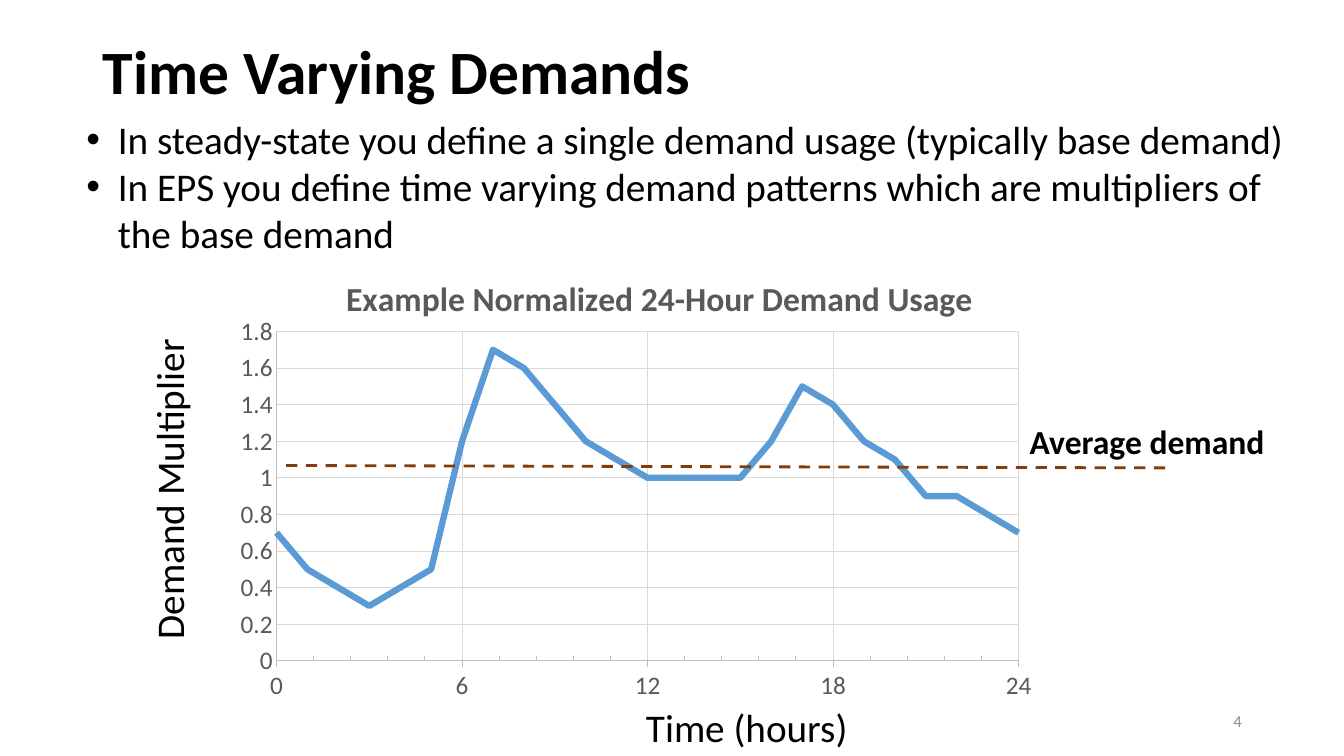
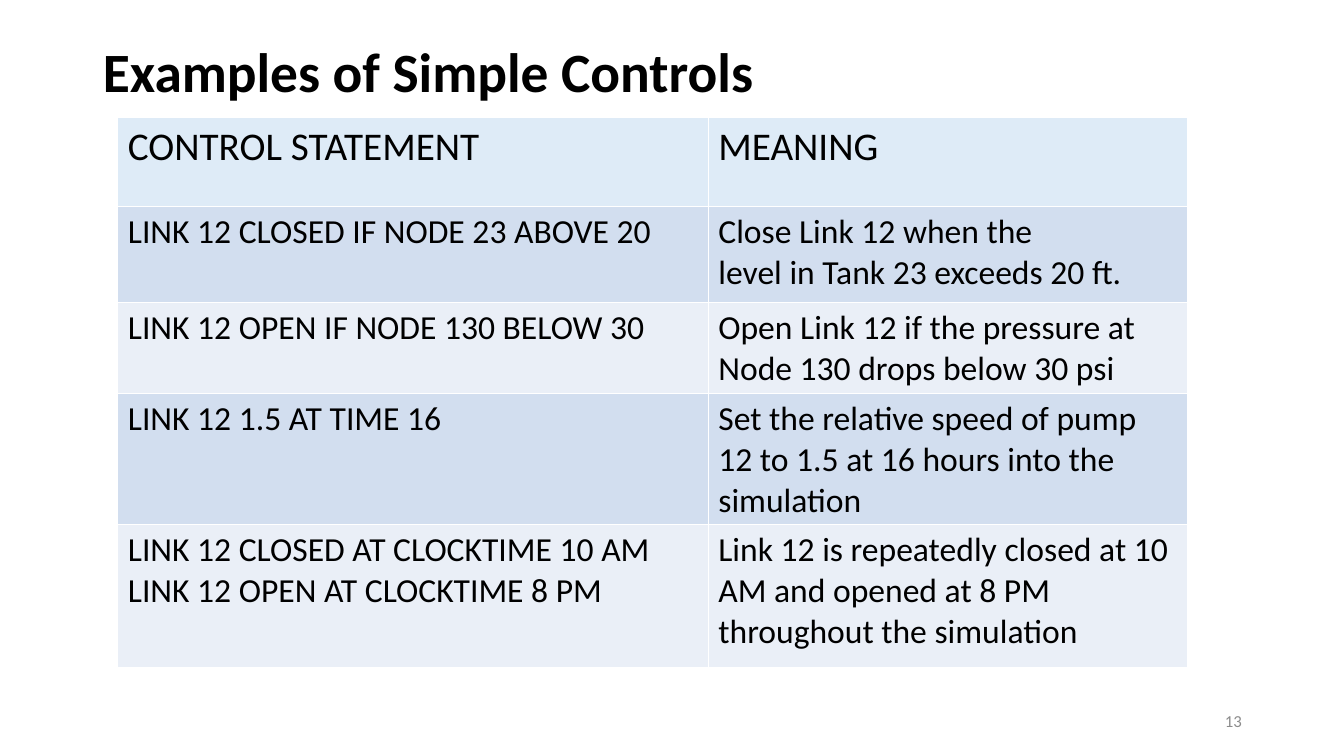
from lxml.etree import SubElement
from pptx import Presentation
from pptx.chart.data import XyChartData
from pptx.dml.color import RGBColor
from pptx.enum.chart import XL_CHART_TYPE, XL_TICK_MARK
from pptx.enum.dml import MSO_LINE
from pptx.enum.shapes import MSO_CONNECTOR
from pptx.enum.text import MSO_ANCHOR, MSO_AUTO_SIZE, PP_ALIGN
from pptx.oxml import parse_xml
from pptx.oxml.ns import nsdecls, qn
from pptx.util import Cm, Pt

# Shared style
FONT = "Calibri"
BLACK = RGBColor(0x00, 0x00, 0x00)
WHITE = RGBColor(0xFF, 0xFF, 0xFF)
NUMBER_GRAY = RGBColor(0x8C, 0x8C, 0x8C)
CHART_TEXT = RGBColor(0x59, 0x59, 0x59)
AXIS_GRAY = RGBColor(0xBF, 0xBF, 0xBF)
GRID_GRAY = RGBColor(0xD9, 0xD9, 0xD9)
SERIES_BLUE = RGBColor(0x5B, 0x9B, 0xD5)
AVERAGE_BROWN = RGBColor(0x84, 0x3C, 0x0B)
HEADER_FILL = RGBColor(0xDE, 0xEB, 0xF7)
BAND_FILLS = (RGBColor(0xD2, 0xDE, 0xEF), RGBColor(0xEA, 0xEF, 0xF7))

# Content
DEMAND = [0.7, 0.5, 0.4, 0.3, 0.4, 0.5, 1.2, 1.7, 1.6, 1.4, 1.2, 1.1, 1,
          1, 1, 1, 1.2, 1.5, 1.4, 1.2, 1.1, 0.9, 0.9, 0.8, 0.7]
BULLETS = (
    "In steady-state you define a single demand usage (typically base demand)\n"
    "In EPS you define time varying demand patterns which are multipliers of "
    "the base demand"
)
CONTROLS = [
    ("CONTROL STATEMENT", "MEANING"),
    ("LINK 12 CLOSED IF NODE 23 ABOVE 20",
     "Close Link 12 when the\vlevel in Tank 23 exceeds 20 ft."),
    ("LINK 12 OPEN IF NODE 130 BELOW 30",
     "Open Link 12 if the pressure at Node 130 drops below 30 psi"),
    ("LINK 12 1.5 AT TIME 16",
     "Set the relative speed of pump 12 to 1.5 at 16 hours into the simulation"),
    ("LINK 12 CLOSED AT CLOCKTIME 10 AM\nLINK 12 OPEN AT CLOCKTIME 8 PM",
     "Link 12 is repeatedly closed at 10 AM and opened at 8 PM "
     "throughout the simulation"),
]


def set_attributes(target, values):
    for name, value in values.items():
        setattr(target, name, value)


def style_font(font, size, color=BLACK, bold=False):
    set_attributes(font, {"name": FONT, "size": Pt(size), "bold": bold})
    font.color.rgb = color


def style_line(line, color, width):
    line.color.rgb = color
    line.width = Pt(width)


def set_layout(element, position, **fractions):
    """Place a chart part at fractions of the chart area."""
    for old in element.findall(qn("c:layout")):
        element.remove(old)
    layout = parse_xml(f"<c:layout {nsdecls('c')}><c:manualLayout/></c:layout>")
    for tag, value in fractions.items():
        SubElement(layout[0], qn(f"c:{tag}")).set("val", str(value))
    element.insert(position, layout)


class Deck:
    def __init__(self):
        self.presentation = Presentation()
        set_attributes(self.presentation,
                       {"slide_width": Cm(33.87), "slide_height": Cm(19.05)})
        self.slide = None

    def add_slide(self, title, number, title_size=44):
        layout = self.presentation.slide_layouts[5]
        self.slide = self.presentation.slides.add_slide(layout)
        shape = self.slide.shapes.title
        set_attributes(shape, {"left": Cm(2.34), "top": Cm(1.02),
                               "width": Cm(29.21), "height": Cm(1.73)})
        self.fill_text(shape.text_frame, title, title_size, bold=True,
                       align=PP_ALIGN.LEFT, anchor=MSO_ANCHOR.MIDDLE)
        shape.text_frame.auto_size = MSO_AUTO_SIZE.NONE
        shape.text_frame.paragraphs[0].line_spacing = 0.9
        self.add_text(str(number), (23.93, 17.65, 7.62, 1.02), 12, NUMBER_GRAY,
                      align=PP_ALIGN.RIGHT, anchor=MSO_ANCHOR.MIDDLE)

    def fill_text(self, frame, text, size, color=BLACK, bold=False,
                  align=PP_ALIGN.LEFT, anchor=MSO_ANCHOR.TOP, bullet=False):
        frame.text = text
        set_attributes(frame, {"word_wrap": True, "vertical_anchor": anchor})
        for paragraph in frame.paragraphs:
            paragraph.alignment = align
            if bullet:
                self.add_bullet(paragraph)
            for run in paragraph.runs:
                style_font(run.font, size, color, bold)

    def add_bullet(self, paragraph):
        properties = paragraph._p.get_or_add_pPr()
        properties.set("marL", str(Cm(0.79)))
        properties.set("indent", str(-Cm(0.79)))
        SubElement(properties, qn("a:buFont")).set("typeface", "Arial")
        SubElement(properties, qn("a:buChar")).set("char", "•")

    def add_text(self, text, box, size, color=BLACK, wrap=True, rotation=0,
                 **options):
        shape = self.slide.shapes.add_textbox(*map(Cm, box))
        shape.rotation = rotation
        self.fill_text(shape.text_frame, text, size, color, **options)
        shape.text_frame.word_wrap = wrap

    def add_dashed_line(self, start, end, color, width):
        line = self.slide.shapes.add_connector(
            MSO_CONNECTOR.STRAIGHT, *map(Cm, start + end))
        style_line(line.line, color, width)
        line.line.dash_style = MSO_LINE.DASH
        SubElement(line._element.spPr, qn("a:effectLst"))

    def add_scatter(self, title, values, box):
        data = XyChartData()
        series_data = data.add_series("Series 1")
        for hour, value in enumerate(values):
            series_data.add_data_point(hour, value)
        chart = self.slide.shapes.add_chart(
            XL_CHART_TYPE.XY_SCATTER_LINES_NO_MARKERS, *map(Cm, box), data).chart
        chart.has_legend = False
        style_font(chart.font, 10)

        # Title and plot area
        self.fill_text(chart.chart_title.text_frame, title, 24, CHART_TEXT,
                       bold=True, align=PP_ALIGN.CENTER)
        set_layout(chart.chart_title._element, 1,
                   xMode="edge", yMode="edge", x=0.14, y=0.06)
        set_layout(chart._chartSpace.chart.plotArea, 0, layoutTarget="inner",
                   xMode="edge", yMode="edge", x=0.063, y=0.19, w=0.9, h=0.7)

        # Axes
        hours, multiplier = chart.category_axis, chart.value_axis
        set_attributes(hours, {
            "minimum_scale": 0, "maximum_scale": 24,
            "major_unit": 6, "minor_unit": 1.2,
            "major_tick_mark": XL_TICK_MARK.OUTSIDE,
            "minor_tick_mark": XL_TICK_MARK.INSIDE})
        set_attributes(multiplier, {
            "minimum_scale": 0, "maximum_scale": 1.8, "major_unit": 0.2,
            "major_tick_mark": XL_TICK_MARK.NONE,
            "minor_tick_mark": XL_TICK_MARK.NONE})
        for axis in (hours, multiplier):
            axis.has_major_gridlines = True
            style_line(axis.major_gridlines.format.line, GRID_GRAY, 0.75)
            style_line(axis.format.line, AXIS_GRAY, 0.75)
            style_font(axis.tick_labels.font, 18, CHART_TEXT)
            set_attributes(axis.tick_labels, {"number_format": "General",
                                              "number_format_is_linked": False})

        # Series
        plot = chart.plots[0]
        plot.vary_by_categories = False
        plot.series[0].smooth = False
        style_line(plot.series[0].format.line, SERIES_BLUE, 4.5)

    def add_table(self, rows, left, top, widths, heights):
        table = self.slide.shapes.add_table(
            len(rows), len(widths), Cm(left), Cm(top),
            Cm(sum(widths)), Cm(sum(heights))).table
        set_attributes(table, {"first_row": False, "horz_banding": False})
        for column, width in zip(table.columns, widths):
            column.width = Cm(width)
        for index, (texts, height) in enumerate(zip(rows, heights)):
            table.rows[index].height = Cm(height)
            fill = BAND_FILLS[(index - 1) % 2] if index else HEADER_FILL
            for column, text in enumerate(texts):
                cell = table.cell(index, column)
                self.fill_text(cell.text_frame, text, 24 if index else 28)
                self.add_borders(cell)
                cell.fill.solid()
                cell.fill.fore_color.rgb = fill

    def add_borders(self, cell):
        properties = cell._tc.get_or_add_tcPr()
        for side in ("lnL", "lnR", "lnT", "lnB"):
            border = SubElement(properties, qn(f"a:{side}"), w=str(Pt(1)))
            fill = SubElement(border, qn("a:solidFill"))
            SubElement(fill, qn("a:srgbClr")).set("val", str(WHITE))


def main():
    deck = Deck()

    # Demand pattern
    deck.add_slide("Time Varying Demands", 4)
    deck.add_scatter("Example Normalized 24-Hour Demand Usage", DEMAND,
                     (5.66, 6.1, 20.78, 11.86))
    deck.add_text("Time (hours)", (16.03, 17.6, 5.64, 1.45), 28, wrap=False)
    deck.add_text("Demand Multiplier", (0.18, 11.56, 8.15, 1.45), 28,
                  wrap=False, rotation=270)
    deck.add_dashed_line((7.21, 11.73), (29.41, 11.79), AVERAGE_BROWN, 2)
    deck.add_text("Average demand", (25.7, 10.49, 6.6, 1.27), 24, bold=True)
    deck.add_text(BULLETS, (1.93, 2.79, 30.91, 3.84), 28, bullet=True)

    # Simple controls
    deck.add_slide("Examples of Simple Controls", 13, title_size=39.6)
    deck.add_table(CONTROLS, 2.97, 2.97, widths=(14.88, 12.07),
                   heights=(2.24, 2.41, 2.24, 3.25, 3.61))

    deck.presentation.save("out.pptx")


if __name__ == "__main__":
    main()
